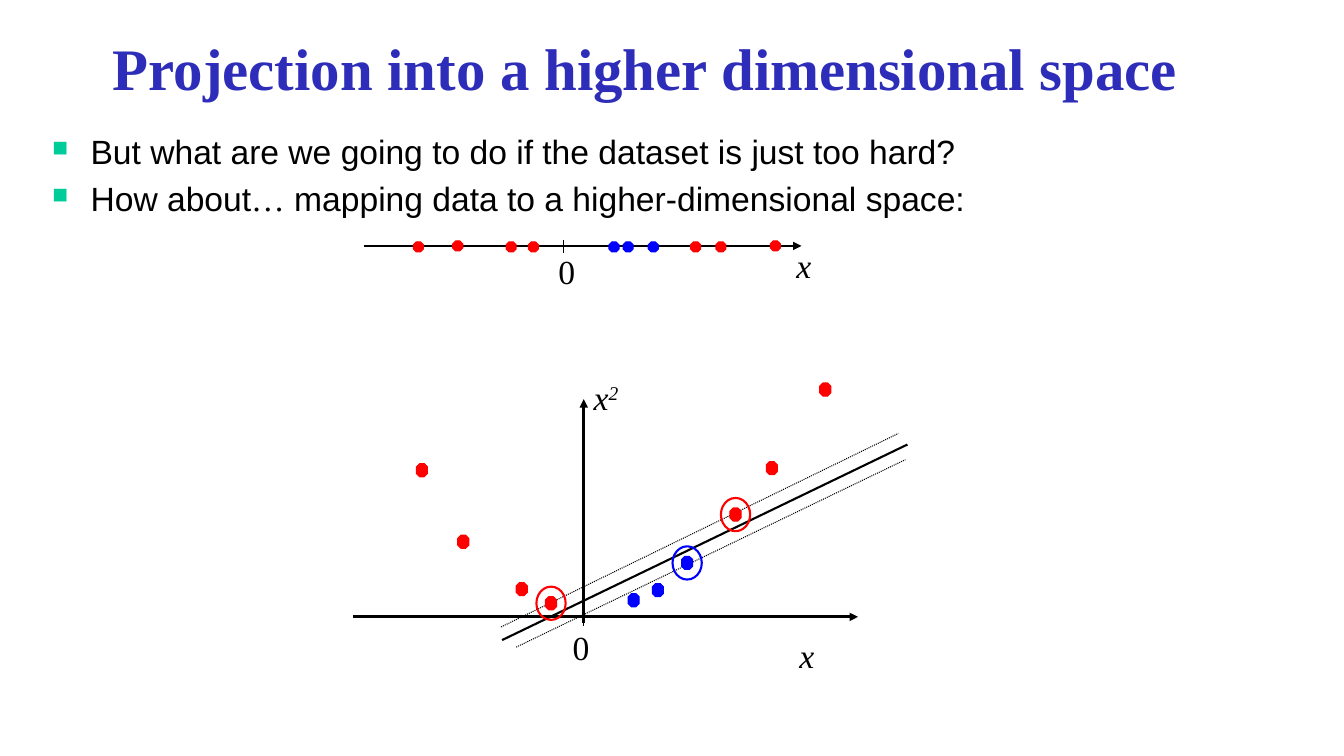
"""Build a slide on projecting one-dimensional data into a higher dimensional space."""
from dataclasses import dataclass
from typing import Any

from lxml.etree import SubElement
from pptx import Presentation
from pptx.dml.color import RGBColor
from pptx.enum.dml import MSO_LINE
from pptx.enum.shapes import MSO_CONNECTOR, MSO_SHAPE
from pptx.enum.text import MSO_ANCHOR, MSO_AUTO_SIZE, PP_ALIGN
from pptx.oxml.ns import qn
from pptx.util import Inches, Pt


@dataclass(frozen=True)
class Theme:
    black: RGBColor = RGBColor(0x00, 0x00, 0x00)
    title: RGBColor = RGBColor(0x2D, 0x2D, 0xB9)
    red: RGBColor = RGBColor(0xFF, 0x00, 0x00)
    blue: RGBColor = RGBColor(0x00, 0x00, 0xFF)
    bullet: str = "00CC99"
    serif: str = "Times New Roman"
    sans: str = "Arial"
    title_size: Pt = Pt(42)
    text_size: Pt = Pt(24)
    thin: Pt = Pt(0.75)
    medium: Pt = Pt(1.5)
    thick: Pt = Pt(2)


THEME = Theme()


@dataclass(frozen=True)
class Dot:
    left: float
    top: float
    color: RGBColor
    ringed: bool = False


@dataclass(frozen=True)
class Segment:
    start: tuple[float, float]
    end: tuple[float, float]
    width: Pt = THEME.thin
    arrow: bool = False
    dotted: bool = False


@dataclass(frozen=True)
class Label:
    left: float
    top: float
    width: float
    text: str
    italic: bool = False
    superscript: str = ""


@dataclass(frozen=True)
class Diagram:
    dot_size: tuple[float, float]
    segments: list[Segment]
    dots: list[Dot]
    labels: list[Label]


RING_SIZE = (0.29, 0.33)

NUMBER_LINE = Diagram(
    dot_size=(0.1, 0.1),
    segments=[
        Segment((3.61, 2.44), (7.95, 2.44), THEME.thick, arrow=True),
        Segment((5.59, 2.38), (5.59, 2.51)),
    ],
    dots=[Dot(left, 2.39, THEME.red) for left in (4.49, 7.64)]
    + [Dot(left, 2.4, THEME.red) for left in (4.1, 5.02, 5.24, 6.85, 7.1)]
    + [Dot(left, 2.4, THEME.blue) for left in (6.04, 6.18, 6.43)],
    labels=[Label(5.44, 2.44, 0.38, "0"), Label(7.8, 2.38, 0.5, "x", italic=True)],
)

PLANE = Diagram(
    dot_size=(0.11, 0.13),
    segments=[
        Segment((3.5, 6.12), (8.51, 6.12), THEME.thick, arrow=True),
        Segment((5.79, 6.04), (5.79, 6.21)),
        Segment((5.79, 6.18), (5.79, 3.96), THEME.thick, arrow=True),
        Segment((4.98, 6.35), (9, 4.41), THEME.medium),
        Segment((4.97, 6.22), (8.91, 4.3), dotted=True),
        Segment((5.12, 6.42), (8.98, 4.56), dotted=True),
    ],
    dots=[
        Dot(4.13, 4.6, THEME.red),
        Dot(4.54, 5.31, THEME.red),
        Dot(5.12, 5.78, THEME.red),
        Dot(5.41, 5.92, THEME.red, ringed=True),
        Dot(6.23, 5.89, THEME.blue),
        Dot(6.47, 5.79, THEME.blue),
        Dot(6.76, 5.52, THEME.blue, ringed=True),
        Dot(7.24, 5.04, THEME.red, ringed=True),
        Dot(7.6, 4.58, THEME.red),
        Dot(8.13, 3.8, THEME.red),
    ],
    labels=[
        Label(5.58, 6.17, 0.38, "0"),
        Label(7.83, 6.25, 0.5, "x", italic=True),
        Label(5.79, 3.69, 0.58, "x", italic=True, superscript="2"),
    ],
)

BULLETS = [
    [("But what are we going to do if the dataset is just too hard?", THEME.sans)],
    [
        ("How about", THEME.sans),
        ("…", THEME.serif),
        (" mapping data to a higher-dimensional space:", THEME.sans),
    ],
]


def apply_format(target: Any, values: dict[str, Any]) -> None:
    for name, value in values.items():
        setattr(target, name, value)


def place(shape: Any, left: float, top: float, width: float, height: float) -> None:
    box = {"left": left, "top": top, "width": width, "height": height}
    apply_format(shape, {name: Inches(value) for name, value in box.items()})


def add_run(paragraph: Any, text: str, **values: Any) -> Any:
    run = paragraph.add_run()
    run.text = text
    color = values.pop("color", THEME.black)
    apply_format(run.font, {"name": THEME.serif, "size": THEME.text_size} | values)
    run.font.color.rgb = color
    return run


def add_title(slide: Any) -> None:
    title = slide.shapes.title
    place(title, 0.58, 0.25, 12.17, 0.83)
    apply_format(title.text_frame, {
        "margin_left": Inches(0.54), "vertical_anchor": MSO_ANCHOR.MIDDLE,
        "word_wrap": True, "auto_size": MSO_AUTO_SIZE.NONE,
    })
    paragraph = title.text_frame.paragraphs[0]
    paragraph.alignment = PP_ALIGN.LEFT
    add_run(paragraph, "Projection into a higher dimensional space",
            size=THEME.title_size, bold=True, color=THEME.title)


def add_bullets(slide: Any) -> None:
    box = slide.shapes.add_textbox(*map(Inches, (0.42, 1.25, 12.17, 6.25)))
    box.text_frame.word_wrap = True
    for index, parts in enumerate(BULLETS):
        paragraph = box.text_frame.add_paragraph() if index else box.text_frame.paragraphs[0]
        paragraph.space_before = Pt(5)
        properties = paragraph._p.get_or_add_pPr()
        properties.set("marL", str(Inches(0.38)))
        properties.set("indent", str(Inches(-0.38)))
        color = SubElement(properties, qn("a:buClr"))
        SubElement(color, qn("a:srgbClr"), val=THEME.bullet)
        SubElement(properties, qn("a:buSzPct"), val="65000")
        SubElement(properties, qn("a:buChar"), char="■")
        for text, font in parts:
            add_run(paragraph, text, name=font)


def add_segment(shapes: Any, segment: Segment) -> None:
    connector = shapes.add_connector(
        MSO_CONNECTOR.STRAIGHT, *map(Inches, segment.start + segment.end))
    connector.line.color.rgb = THEME.black
    connector.line.width = segment.width
    if segment.dotted:
        connector.line.dash_style = MSO_LINE.ROUND_DOT
    if segment.arrow:
        SubElement(connector.line._get_or_add_ln(), qn("a:tailEnd"), type="triangle")
    SubElement(connector._element.spPr, qn("a:effectLst"))


def add_mark(shapes: Any, kind: MSO_SHAPE, left: float, top: float,
             size: tuple[float, float], color: RGBColor, filled: bool) -> None:
    shape = shapes.add_shape(kind, *map(Inches, (left, top, *size)))
    shape.shadow.inherit = False
    shape.line.color.rgb = color
    shape.line.width = THEME.thin if filled else THEME.medium
    if filled:
        shape.fill.solid()
        shape.fill.fore_color.rgb = color
    else:
        shape.fill.background()


def add_label(shapes: Any, label: Label) -> None:
    box = shapes.add_textbox(*map(Inches, (label.left, label.top, label.width, 0.5)))
    box.text_frame.word_wrap = True
    paragraph = box.text_frame.paragraphs[0]
    add_run(paragraph, label.text, italic=label.italic)
    if label.superscript:
        run = add_run(paragraph, label.superscript, italic=label.italic)
        run._r.get_or_add_rPr().set("baseline", "30000")


def add_diagram(slide: Any, diagram: Diagram) -> None:
    shapes = slide.shapes.add_group_shape().shapes
    for segment in diagram.segments:
        add_segment(shapes, segment)
    for dot in diagram.dots:
        add_mark(shapes, MSO_SHAPE.OCTAGON, dot.left, dot.top, diagram.dot_size, dot.color, True)
        if dot.ringed:
            left = dot.left + (diagram.dot_size[0] - RING_SIZE[0]) / 2
            top = dot.top + (diagram.dot_size[1] - RING_SIZE[1]) / 2
            add_mark(shapes, MSO_SHAPE.OVAL, left, top, RING_SIZE, dot.color, False)
    for label in diagram.labels:
        add_label(shapes, label)


def main() -> None:
    presentation = Presentation()
    apply_format(presentation, {"slide_width": Inches(13.33), "slide_height": Inches(7.5)})
    slide = presentation.slides.add_slide(presentation.slide_layouts[5])
    add_title(slide)
    add_bullets(slide)
    for diagram in (NUMBER_LINE, PLANE):
        add_diagram(slide, diagram)
    presentation.save("out.pptx")


if __name__ == "__main__":
    main()
